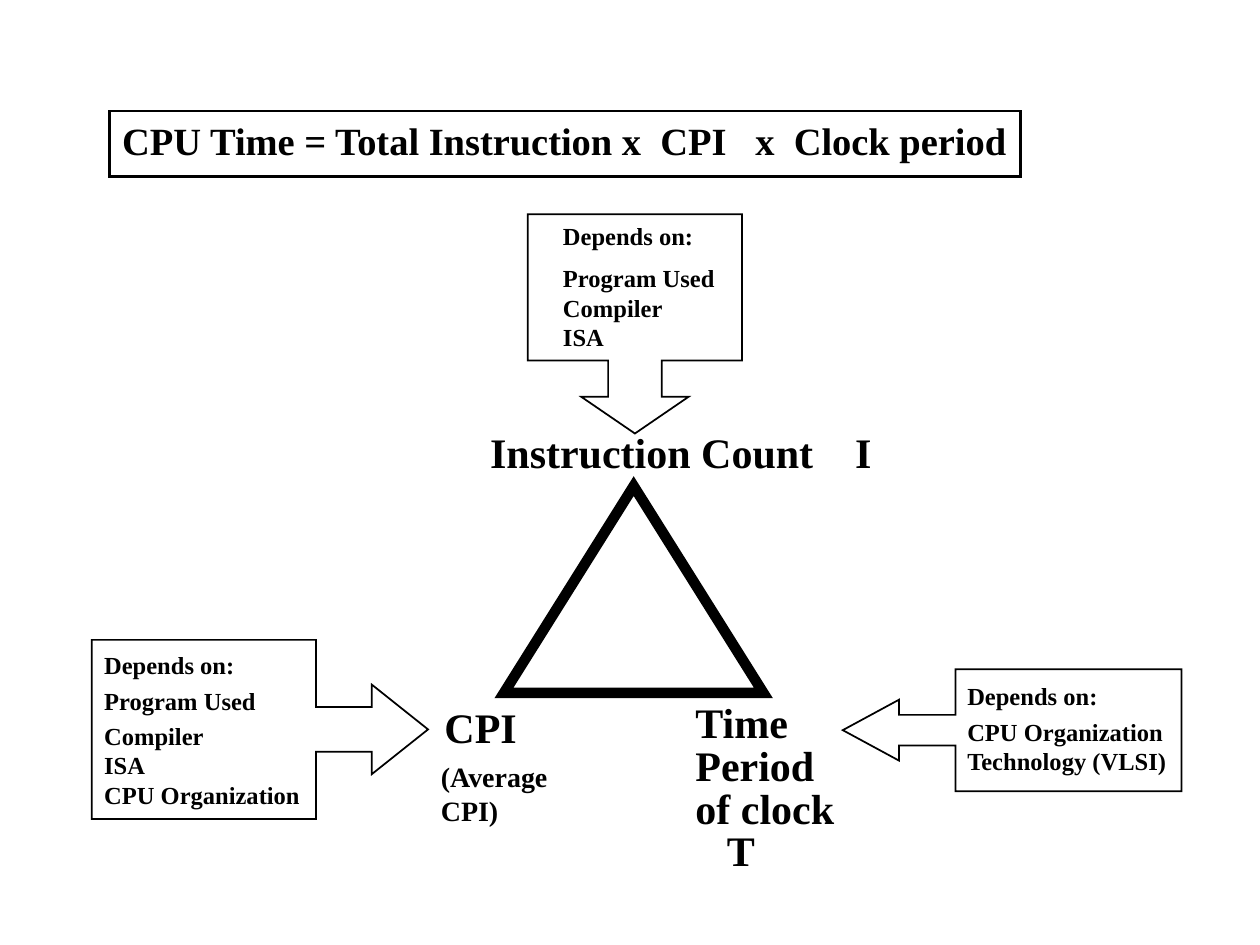
import dataclasses
import lxml.etree
import pptx
import pptx.dml.color
import pptx.enum.shapes
import pptx.enum.text
import pptx.oxml.ns
import pptx.util

Cm = pptx.util.Cm
Pt = pptx.util.Pt
Kind = pptx.enum.shapes.MSO_SHAPE


@dataclasses.dataclass
class Theme:
    """Colours, font and type sizes of the slide."""
    ink: str = "000000"
    paper: str = "FFFFFF"
    face: str = "Times New Roman"
    title: int = 22
    label: int = 24
    sub: int = 16
    note: int = 14
    gap: float = 3.5


class Page:
    """Draws each kind of element on one slide in one theme."""

    def __init__(self, deck, theme):
        """Add a title-only slide."""
        self.theme = theme
        self.slide = deck.slides.add_slide(deck.slide_layouts[5])

    def tint(self, code):
        """Turn a hex code into a colour."""
        return pptx.dml.color.RGBColor.from_string(code)

    def edge(self, shape, width):
        """Give a shape a black outline with sharp corners."""
        shape.line.color.rgb = self.tint(self.theme.ink)
        shape.line.width = Pt(width)
        line = shape.element.spPr.find(pptx.oxml.ns.qn("a:ln"))
        join = lxml.etree.SubElement(line, pptx.oxml.ns.qn("a:miter"))
        join.set("lim", "800000")

    def put(self, frame, lines, size, wrap=True, gaps=(), lead=None):
        """Fill a frame with bold lines, some with a gap before them."""
        frame.word_wrap = wrap
        frame.auto_size = pptx.enum.text.MSO_AUTO_SIZE.NONE
        frame.vertical_anchor = pptx.enum.text.MSO_ANCHOR.TOP
        for i, line in enumerate(lines):
            para = frame.paragraphs[0] if i == 0 else frame.add_paragraph()
            para.text = line
            para.alignment = pptx.enum.text.PP_ALIGN.LEFT
            if lead:
                para.line_spacing = lead
            if i < len(gaps) and gaps[i]:
                para.space_before = Pt(gaps[i] * self.theme.gap)
            font = para.font
            font.name, font.size, font.bold = self.theme.face, Pt(size), True
            font.color.rgb = self.tint(self.theme.ink)
        return frame.paragraphs

    def title(self, box, text):
        """Place the framed title."""
        shape = self.slide.shapes.title
        shape.left, shape.top, shape.width, shape.height = map(Cm, box)
        shape.fill.solid()
        shape.fill.fore_color.rgb = self.tint(self.theme.paper)
        self.edge(shape, 1.5)
        self.put(shape.text_frame, [text], self.theme.title, wrap=False)

    def shape(self, kind, box, width, knobs=()):
        """Draw an unfilled outline shape."""
        shape = self.slide.shapes.add_shape(kind, *map(Cm, box))
        shape.shadow.inherit = False
        shape.fill.background()
        for i, knob in enumerate(knobs):
            shape.adjustments[i] = knob
        self.edge(shape, width)

    def text(self, box, lines, size, **style):
        """Place a text box and return its paragraphs."""
        shape = self.slide.shapes.add_textbox(*map(Cm, box))
        return self.put(shape.text_frame, lines, size, **style)

    def note(self, kind, box, head, area, items, gaps):
        """Draw an arrow callout with its list of factors."""
        self.shape(kind, box, 1, (0.25, 0.25, head, 0.667))
        self.text(area, ["Depends on:"] + items, self.theme.note, gaps=gaps)


def main():
    """Build and save the slide."""
    deck = pptx.Presentation()
    deck.slide_width, deck.slide_height = Cm(25.4), Cm(19.05)
    theme = Theme()
    page = Page(deck, theme)
    page.title((2.21, 2.24, 18.36, 1.32),
               "CPU Time = Total Instruction x  CPI   x  Clock period")
    page.shape(Kind.ISOSCELES_TRIANGLE, (10.16, 9.8, 5.23, 4.17), 6)

    count = page.text((9.63, 8.48, 8.6, 1.27), ["Instruction Count\tI"],
                      theme.label)[0]
    props = count._p.get_or_add_pPr()
    tabs = lxml.etree.Element(pptx.oxml.ns.qn("a:tabLst"))
    stop = lxml.etree.SubElement(tabs, pptx.oxml.ns.qn("a:tab"))
    stop.set("pos", str(Cm(7.36)))
    stop.set("algn", "l")
    props.insert(0, tabs)

    clock = page.text((13.77, 14.07, 3.58, 3.71),
                      ["Time", "Period", "of clock", "T"],
                      theme.label, lead=0.85)
    clock[-1]._p.get_or_add_pPr().set("marL", str(Pt(18)))
    page.text((8.71, 14.02, 1.96, 1.27), ["CPI"], theme.label, wrap=False)
    page.text((8.64, 15.19, 2.69, 1.63), ["(Average", "CPI)"], theme.sub,
              wrap=False)

    page.note(Kind.LEFT_ARROW_CALLOUT, (16.99, 13.49, 6.83, 2.46), 0.462,
              (19.25, 13.61, 4.65, 2.16),
              ["CPU Organization", "Technology (VLSI)"], (0, 1))
    page.note(Kind.RIGHT_ARROW_CALLOUT, (1.85, 12.9, 6.78, 3.61), 0.314,
              (1.85, 12.98, 4.55, 3.48),
              ["Program Used", "Compiler", "ISA", "CPU Organization"],
              (0, 1, 1))
    page.note(Kind.DOWN_ARROW_CALLOUT, (10.64, 4.32, 4.32, 4.42), 0.171,
              (11.1, 4.34, 3.61, 2.9),
              ["Program Used", "Compiler", "ISA"], (0, 2))
    deck.save("out.pptx")


if __name__ == "__main__":
    main()
